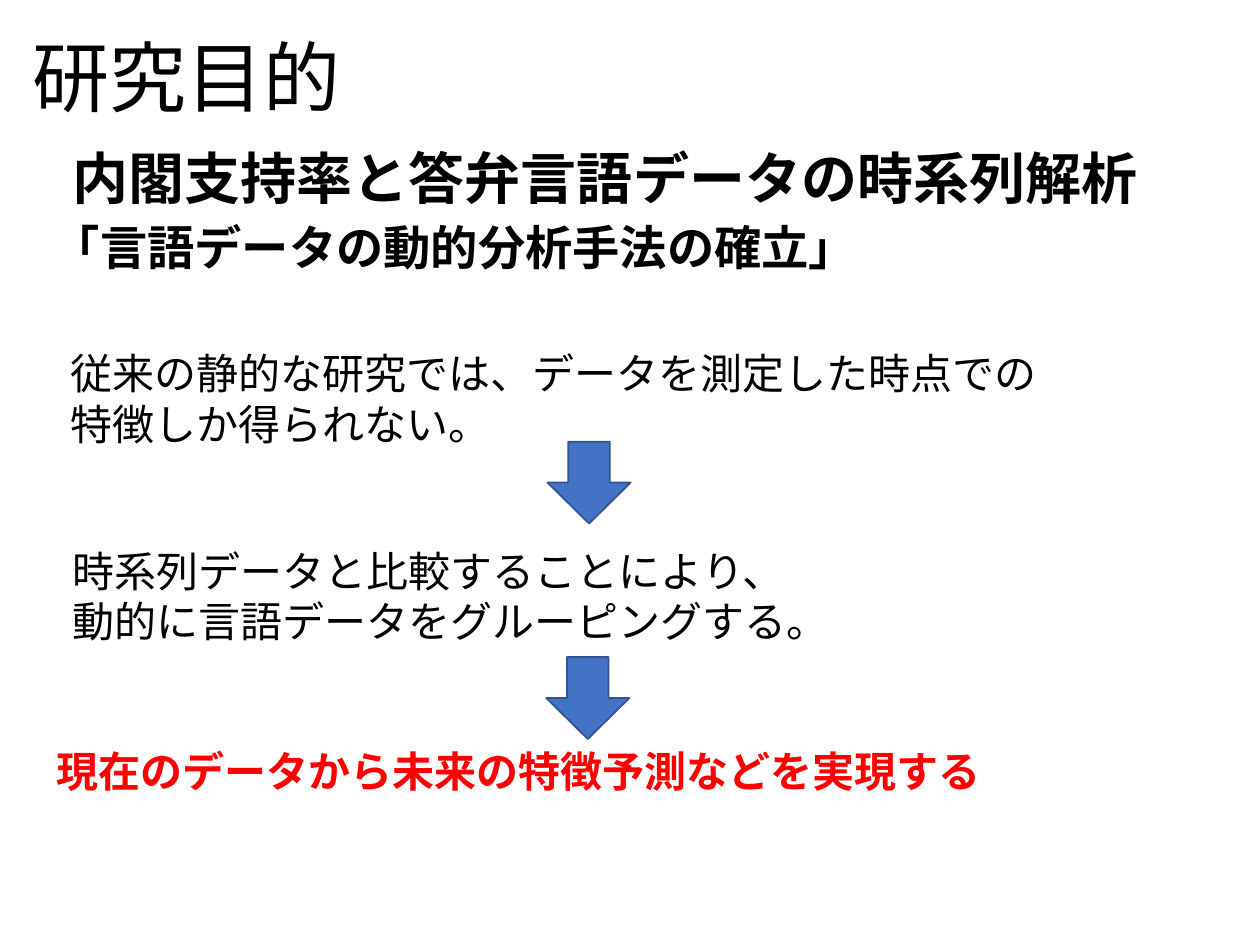
from dataclasses import dataclass

from lxml.etree import SubElement
from pptx import Presentation
from pptx.dml.color import RGBColor as RGB
from pptx.enum.lang import MSO_LANGUAGE_ID as LANG
from pptx.enum.shapes import MSO_SHAPE as SHAPE
from pptx.enum.text import MSO_ANCHOR as ANCHOR, MSO_AUTO_SIZE as AUTO
from pptx.oxml.ns import qn
from pptx.util import Inches, Pt


@dataclass(frozen=True)
class Theme:
    latin: str = "Calibri"
    japanese: str = "Noto Sans CJK JP"
    ink: RGB = RGB(0, 0, 0)
    accent: RGB = RGB(0xFF, 0, 0)
    arrow: RGB = RGB(0x44, 0x72, 0xC4)
    arrow_edge: RGB = RGB(0x32, 0x54, 0x91)
    title: int = 44
    theme_line: int = 32
    subtitle: int = 27
    body: int = 24


THEME = Theme()

# Content: lines, box (left, top, width, height), format
TEXTS = [
    (["研究目的"], (0.16, -0.08, 8.62, 1.45),
     dict(size=THEME.title, anchor=ANCHOR.MIDDLE, spacing=0.9, grow=False)),
    (["「言語データの動的分析手法の確立」"], (0.35, 1.74, 8.96, 3.96),
     dict(size=THEME.subtitle, bold=True, spacing=0.9, before=10,
          margins=(0.07, 0.04), grow=False)),
    (["内閣支持率と答弁言語データの時系列解析"], (0.48, 1.09, 8.83, 0.64),
     dict(size=THEME.theme_line, bold=True, font=THEME.japanese)),
    (["従来の静的な研究では、データを測定した時点での", "特徴しか得られない。"],
     (0.46, 2.71, 9.09, 0.91), {}),
    (["時系列データと比較することにより、", "動的に言語データをグルーピングする。"],
     (0.48, 4.28, 8.61, 0.91), {}),
    (["現在のデータから未来の特徴予測などを実現する"], (0.35, 5.87, 8.61, 0.5),
     dict(bold=True, color=THEME.accent)),
]
ARROW_SIZE = (0.65, 0.66)
ARROW_CORNERS = [(4.35, 3.5), (4.34, 5.21)]

prs = Presentation()
prs.slide_width, prs.slide_height = Inches(10), Inches(7.5)
slide = prs.slides.add_slide(prs.slide_layouts[6])


def add_text(lines, box, size=THEME.body, bold=False, color=THEME.ink,
             font=THEME.latin, anchor=ANCHOR.TOP, spacing=1.0, before=0,
             margins=(0.1, 0.05), grow=True):
    frame = slide.shapes.add_textbox(*map(Inches, box)).text_frame
    frame.word_wrap = True
    frame.auto_size = AUTO.SHAPE_TO_FIT_TEXT if grow else AUTO.NONE
    frame.vertical_anchor = anchor
    frame.margin_left = frame.margin_right = Inches(margins[0])
    frame.margin_top = frame.margin_bottom = Inches(margins[1])
    frame.text = "\n".join(lines)
    for paragraph in frame.paragraphs:
        paragraph.line_spacing = spacing
        paragraph.space_before = Pt(before)
        run = paragraph.runs[0]
        run.font.name, run.font.size, run.font.bold = font, Pt(size), bold
        run.font.color.rgb = color
        run.font.language_id = LANG.JAPANESE
        # East Asian typeface
        SubElement(run._r.get_or_add_rPr(), qn("a:ea"), typeface=THEME.japanese)


def add_down_arrow(left, top):
    arrow = slide.shapes.add_shape(
        SHAPE.RIGHT_ARROW, *map(Inches, (left, top, *ARROW_SIZE)))
    arrow.rotation = 90
    arrow.shadow.inherit = False
    arrow.fill.solid()
    arrow.fill.fore_color.rgb = THEME.arrow
    arrow.line.color.rgb = THEME.arrow_edge
    arrow.line.width = Pt(1)


# Text
for lines, box, style in TEXTS:
    add_text(lines, box, **style)

# Arrows between the steps
for corner in ARROW_CORNERS:
    add_down_arrow(*corner)

prs.save("out.pptx")
